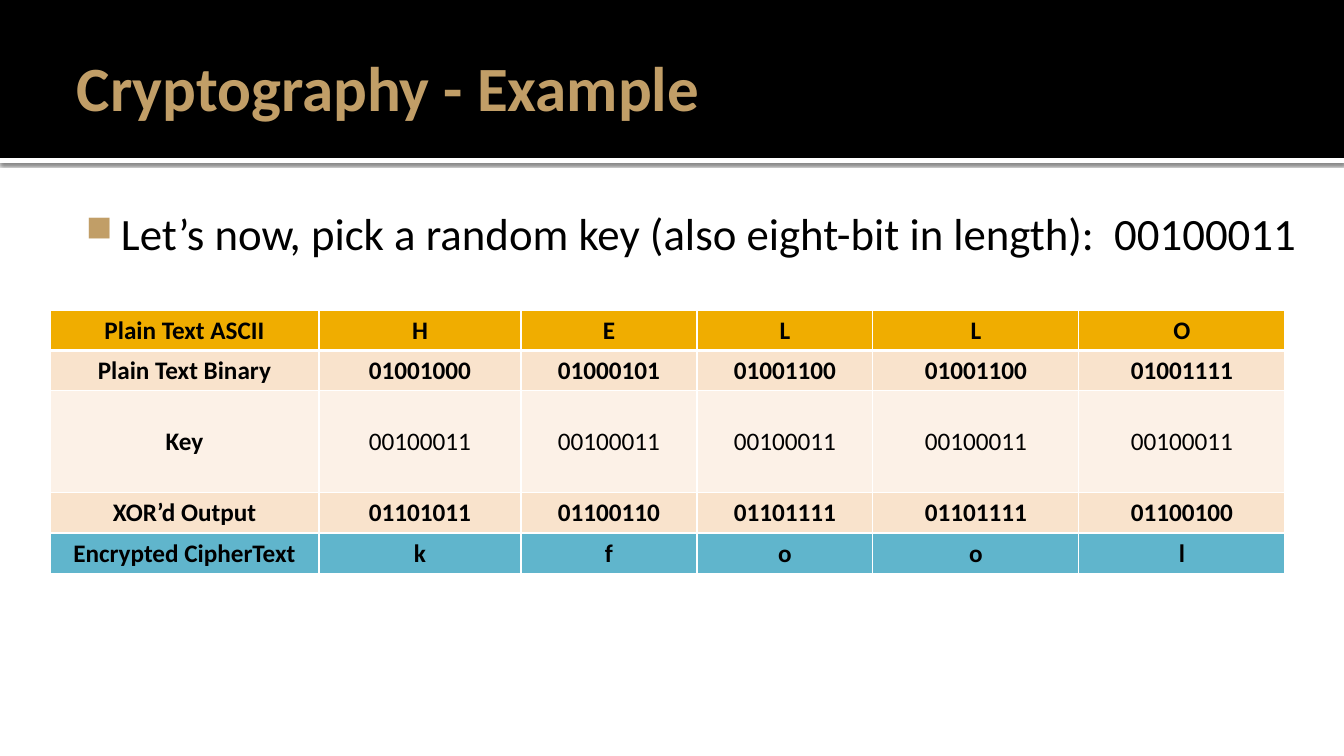
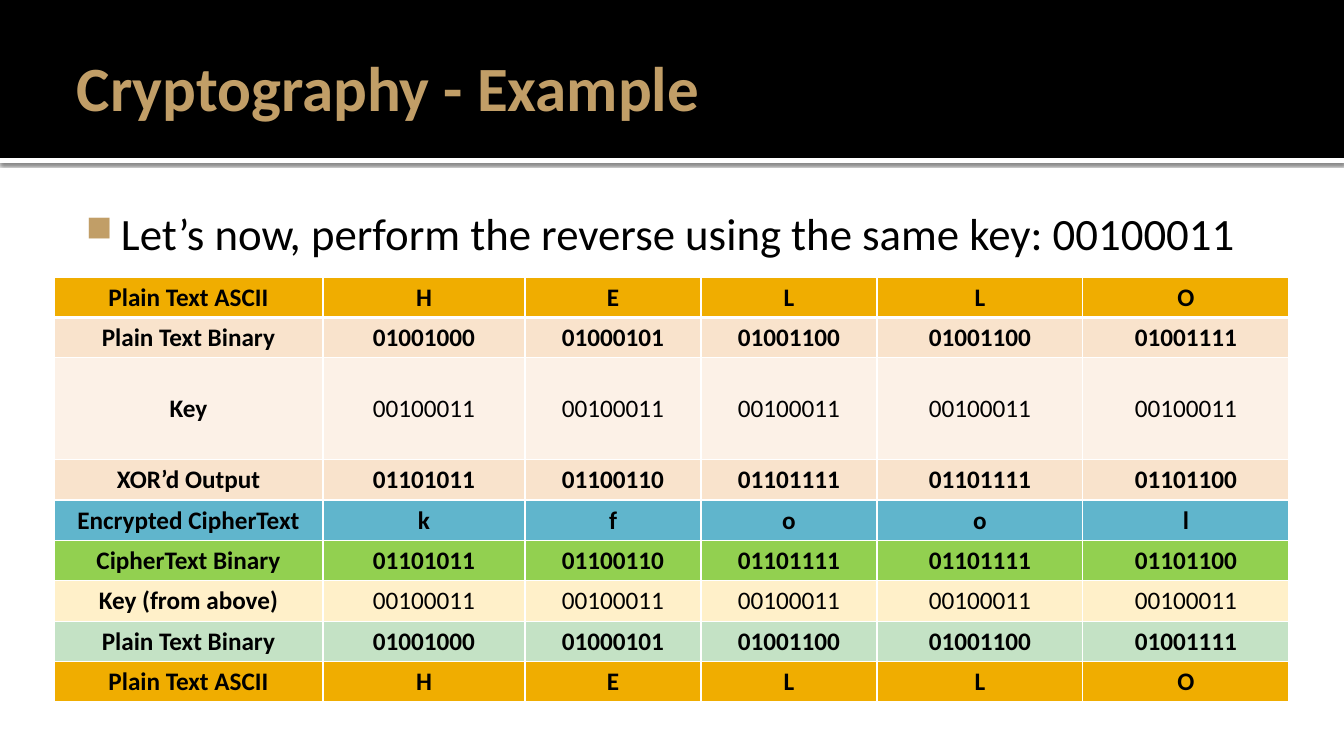
from lxml.etree import SubElement
from pptx import Presentation
from pptx.dml.color import RGBColor
from pptx.enum.shapes import MSO_SHAPE as Shape
from pptx.enum.text import MSO_ANCHOR as Anchor, PP_ALIGN as Align
from pptx.oxml.ns import qn
from pptx.util import Pt

EMU_PER_PX = 914400 / 100.8
SLIDE_W, SLIDE_H = 1344, 756
BAND_H, STRIP_H = 158, 5
FONT = "Calibri"
BLACK, WHITE, TAN = "000000", "FFFFFF", "C19E67"
GOLD, PEACH, CREAM, TEAL = "F0AD00", "F9E3CC", "FCF1E7", "60B5CC"
LIME, BUTTER, MINT = "92D050", "FFF0C9", "C4E2C5"

COLUMN_WIDTHS = [269, 202, 176, 176, 206, 206]
ROW_H, TALL_ROW_H = 40, 102

ASCII_ROW = ("Plain Text ASCII", "H E L L O", GOLD)
PLAIN_BITS = "01001000 01000101 01001100 01001100 01001111"
KEY_BITS = "00100011 00100011 00100011 00100011 00100011"
CIPHER_START = "01101011 01100110 01101111 01101111"
CIPHER_BITS = f"{CIPHER_START} 01101100"


def encryption_rows(xor_bits):
    return [
        ASCII_ROW,
        ("Plain Text Binary", PLAIN_BITS, PEACH),
        ("Key", KEY_BITS, CREAM),
        ("XOR’d Output", xor_bits, PEACH),
        ("Encrypted CipherText", "k f o o l", TEAL),
    ]


DECRYPTION_ROWS = [
    ("CipherText Binary", CIPHER_BITS, LIME),
    ("Key (from above)", KEY_BITS, BUTTER),
    ("Plain Text Binary", PLAIN_BITS, MINT),
    ASCII_ROW,
]


def px(length):
    return round(length * EMU_PER_PX)


def rgb(color):
    return RGBColor.from_string(color)


def child(parent, tag, **attributes):
    return SubElement(parent, qn(tag), {k: str(v) for k, v in attributes.items()})


def write(frame, text, size=18, color=BLACK, bold=False, align=Align.LEFT):
    paragraph = frame.paragraphs[0]
    paragraph.alignment = align
    run = paragraph.add_run()
    run.text = text
    font = run.font
    font.name, font.size, font.bold = FONT, Pt(size), bold
    font.color.rgb = rgb(color)
    return paragraph


def set_margins(frame, left, top, right, bottom):
    frame.margin_left, frame.margin_top = px(left), px(top)
    frame.margin_right, frame.margin_bottom = px(right), px(bottom)
    frame.word_wrap = True


def add_band(slide, top, height, color):
    band = slide.shapes.add_shape(Shape.RECTANGLE, 0, px(top), px(SLIDE_W), px(height))
    band.shadow.inherit = False
    band.fill.solid()
    band.fill.fore_color.rgb = rgb(color)
    band.line.fill.background()
    slide.shapes.element.insert(2, band.element)
    return band


def add_shadow(band):
    effects = band.element.spPr.find(qn("a:effectLst"))
    shadow = child(effects, "a:outerShdw", blurRad=Pt(2.5), dist=Pt(0.8),
                   dir=5400000, algn="tl", rotWithShape=0)
    tint = child(shadow, "a:srgbClr", val=BLACK)
    child(tint, "a:alpha", val=60000)


def add_header(slide, heading):
    add_band(slide, 0, BAND_H, BLACK)
    add_shadow(add_band(slide, BAND_H, STRIP_H, WHITE))
    title = slide.shapes.title
    title.left, title.top, title.width, title.height = map(px, (67, 17, 1210, 138))
    frame = title.text_frame
    set_margins(frame, 10, 5, 5, 5)
    frame.vertical_anchor = Anchor.MIDDLE
    write(frame, heading, size=45, color=TAN, bold=True)


def add_bullet(slide, sentence):
    frame = slide.shapes.add_textbox(*map(px, (67, 196, 1260, 70))).text_frame
    set_margins(frame, 6, 10, 10, 5)
    properties = write(frame, sentence, size=32)._p.get_or_add_pPr()
    properties.set("marL", str(px(48)))
    properties.set("indent", str(px(-35)))
    child(child(properties, "a:buClr"), "a:srgbClr", val=TAN)
    child(properties, "a:buSzPct", val=80000)
    child(properties, "a:buChar", char="■")


def set_borders(cell, top, bottom):
    properties = cell._tc.get_or_add_tcPr()
    for side, points in (("L", 1), ("R", 1), ("T", top), ("B", bottom)):
        border = child(properties, f"a:ln{side}", w=Pt(points))
        child(child(border, "a:solidFill"), "a:srgbClr", val=WHITE)


def add_cipher_table(slide, left, top, rows):
    heights = [TALL_ROW_H if label == "Key" else ROW_H for label, _, _ in rows]
    table = slide.shapes.add_table(
        len(rows), len(COLUMN_WIDTHS), px(left), px(top),
        px(sum(COLUMN_WIDTHS)), px(sum(heights))).table
    for column, width in zip(table.columns, COLUMN_WIDTHS):
        column.width = px(width)
    for r, (label, values, color) in enumerate(rows):
        table.rows[r].height = px(heights[r])
        for c, text in enumerate([label, *values.split()]):
            cell = table.cell(r, c)
            set_borders(cell, top=3 if r == 1 else 1, bottom=3 if r == 0 else 1)
            cell.fill.solid()
            cell.fill.fore_color.rgb = rgb(color)
            cell.vertical_anchor = Anchor.MIDDLE
            write(cell.text_frame, text, align=Align.CENTER,
                  bold=c == 0 or values != KEY_BITS)


def add_example(deck, sentence, left, top, rows):
    slide = deck.slides.add_slide(deck.slide_layouts[5])
    add_header(slide, "Cryptography - Example")
    add_bullet(slide, sentence)
    add_cipher_table(slide, left, top, rows)


def main():
    deck = Presentation()
    deck.slide_width, deck.slide_height = px(SLIDE_W), px(SLIDE_H)
    add_example(
        deck, "Let’s now, pick a random key (also eight-bit in length):  00100011",
        50, 310, encryption_rows(f"{CIPHER_START} 01100100"))
    add_example(
        deck, "Let’s now, perform the reverse using the same key: 00100011",
        54, 277, encryption_rows(CIPHER_BITS) + DECRYPTION_ROWS)
    deck.save("out.pptx")


if __name__ == "__main__":
    main()
